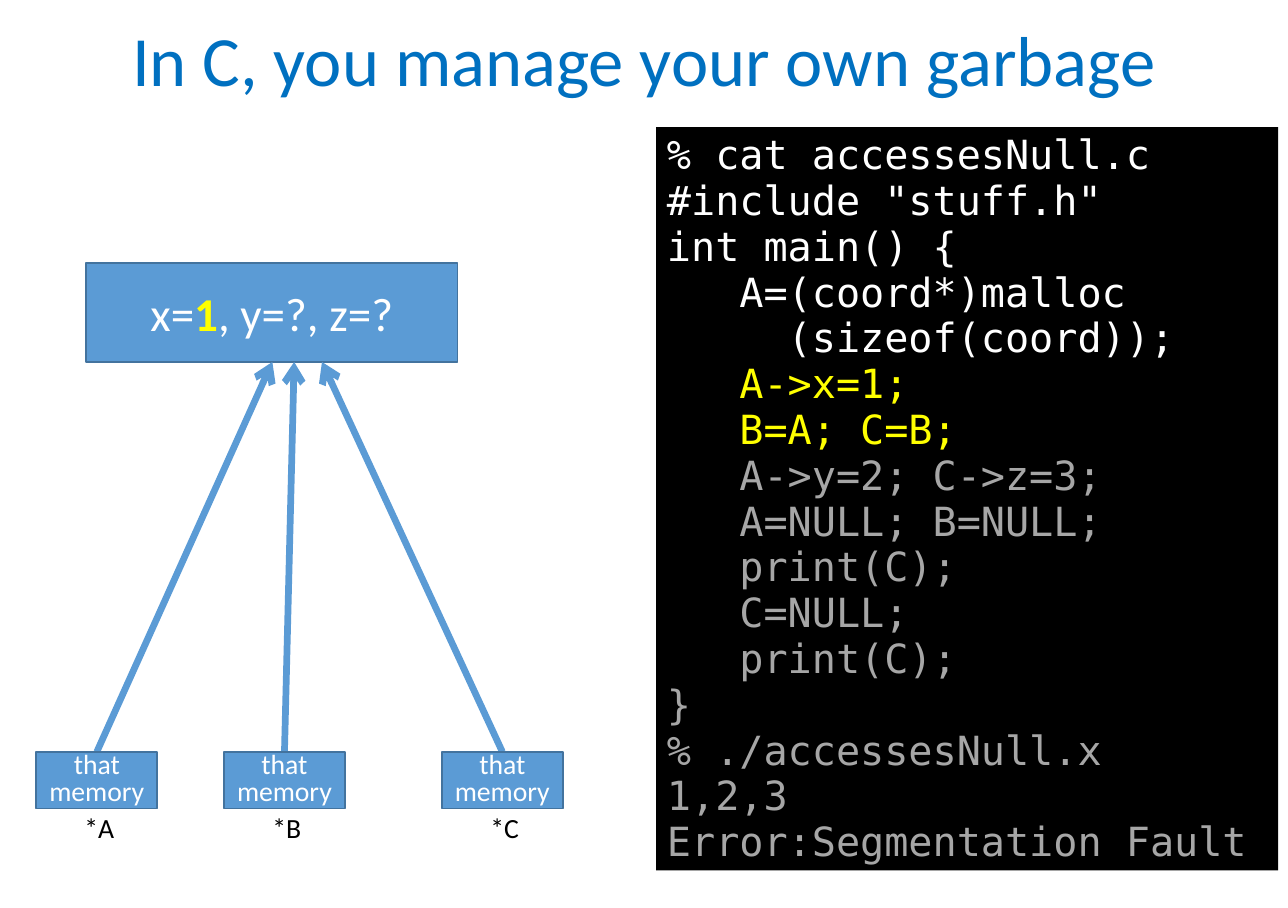
from dataclasses import dataclass
from lxml.etree import SubElement
from pptx import Presentation
from pptx.dml.color import RGBColor
from pptx.enum.shapes import MSO_CONNECTOR, MSO_SHAPE
from pptx.enum.text import MSO_ANCHOR, MSO_AUTO_SIZE, PP_ALIGN
from pptx.oxml.ns import qn
from pptx.util import Inches, Pt


@dataclass
class Theme:
    white: str = "FFFFFF"
    black: str = "000000"
    blue: str = "5B9BD5"
    edge: str = "43739E"
    head: str = "0070C0"
    hot: str = "FFFF00"
    dim: str = "A6A6A6"
    sans: str = "Calibri"
    mono: str = "DejaVu Sans Mono"
    title: float = 42
    value: float = 28
    code: float = 23.9
    label: float = 16.5


T = Theme()

TITLE = "In C, you manage your own garbage"
CODE = [
    (T.white, ["% cat accessesNull.c", '#include "stuff.h"', "int main() {",
               "   A=(coord*)malloc", "     (sizeof(coord));"]),
    (T.hot, ["   A->x=1;", "   B=A; C=B;"]),
    (T.dim, ["   A->y=2; C->z=3;", "   A=NULL; B=NULL;", "   print(C);",
             "   C=NULL;", "   print(C);", "}", "% ./accessesNull.x",
             "1,2,3", "Error:Segmentation Fault"]),
]
VALUE = [("x=", T.white, False), ("1", T.hot, True),
         (", y=?, z=?", T.white, False)]
# name, left edge of its box, x of its arrow tip
NAMES = [("*A", 0.3, 2.25), ("*B", 1.85, 2.43), ("*C", 3.65, 2.66)]

WIDTH, HEIGHT = 10.64, 7.5
HEAD = 1.05
PANEL = (5.42, HEAD, 5.14, 6.14)
STORE = (0.71, 2.17, 3.07, 0.82)
TIP = STORE[1] + STORE[3]
BOX_W, BOX_H, BOX_TOP = 1, 0.47, 6.21
NAME_DX, NAME_DY = 0.02, 0.39


def color(code):
    return RGBColor.from_string(code)


def put(shape, lines, size, font=T.sans, align=PP_ALIGN.CENTER,
        anchor=MSO_ANCHOR.MIDDLE, space=1.0, side=0.1):
    """Write lines, each a list of (text, colour, bold) runs."""
    frame = shape.text_frame
    frame.word_wrap = True
    frame.auto_size = MSO_AUTO_SIZE.NONE
    frame.vertical_anchor = anchor
    frame.margin_left = frame.margin_right = Inches(side)
    frame.margin_top = frame.margin_bottom = Inches(0.05)
    for i, runs in enumerate(lines):
        para = frame.add_paragraph() if i else frame.paragraphs[0]
        para.alignment = align
        para.line_spacing = space
        para.space_before = para.space_after = Pt(0)
        for text, tint, bold in runs:
            run = para.add_run()
            run.text = text
            run.font.name, run.font.size = font, Pt(size)
            run.font.bold = bold
            run.font.color.rgb = color(tint)


def rect(shapes, place, fill, edge=None):
    shape = shapes.add_shape(MSO_SHAPE.RECTANGLE, *map(Inches, place))
    shape.shadow.inherit = False
    shape.fill.solid()
    shape.fill.fore_color.rgb = color(fill)
    if edge:
        shape.line.color.rgb = color(edge)
        shape.line.width = Pt(1)
    else:
        shape.line.fill.background()
    return shape


def arrow(shapes, start, end):
    line = shapes.add_connector(MSO_CONNECTOR.STRAIGHT,
                                *map(Inches, (*start, *end)))
    line.line.color.rgb = color(T.blue)
    line.line.width = Pt(4)
    SubElement(line.line._get_or_add_ln(), qn("a:tailEnd"), type="arrow")
    SubElement(line._element.spPr, qn("a:effectLst"))


def main():
    deck = Presentation()
    deck.slide_width, deck.slide_height = Inches(WIDTH), Inches(HEIGHT)
    slide = deck.slides.add_slide(deck.slide_layouts[5])
    shapes = slide.shapes

    title = shapes.title
    title.left = title.top = Inches(0)
    title.width, title.height = Inches(WIDTH), Inches(HEAD)
    put(title, [[(TITLE, T.head, False)]], T.title, space=0.9)

    code = [[(text, tint, False)] for tint, part in CODE for text in part]
    put(rect(shapes, PANEL, T.black), code, T.code, font=T.mono,
        align=PP_ALIGN.LEFT, anchor=MSO_ANCHOR.TOP, space=0.95, side=0.09)

    put(rect(shapes, STORE, T.blue, T.edge), [VALUE], T.value)

    for name, left, tip in NAMES:
        arrow(shapes, (left + BOX_W / 2, BOX_TOP), (tip, TIP))
        group = shapes.add_group_shape().shapes
        box = rect(group, (left, BOX_TOP, BOX_W, BOX_H), T.blue, T.edge)
        put(box, [[("that memory", T.white, False)]], T.label,
            space=0.8, side=0.05)
        place = (left + NAME_DX, BOX_TOP + NAME_DY, BOX_W, BOX_H)
        put(group.add_textbox(*map(Inches, place)),
            [[(name, T.black, False)]], T.label)

    deck.save("out.pptx")


if __name__ == "__main__":
    main()
